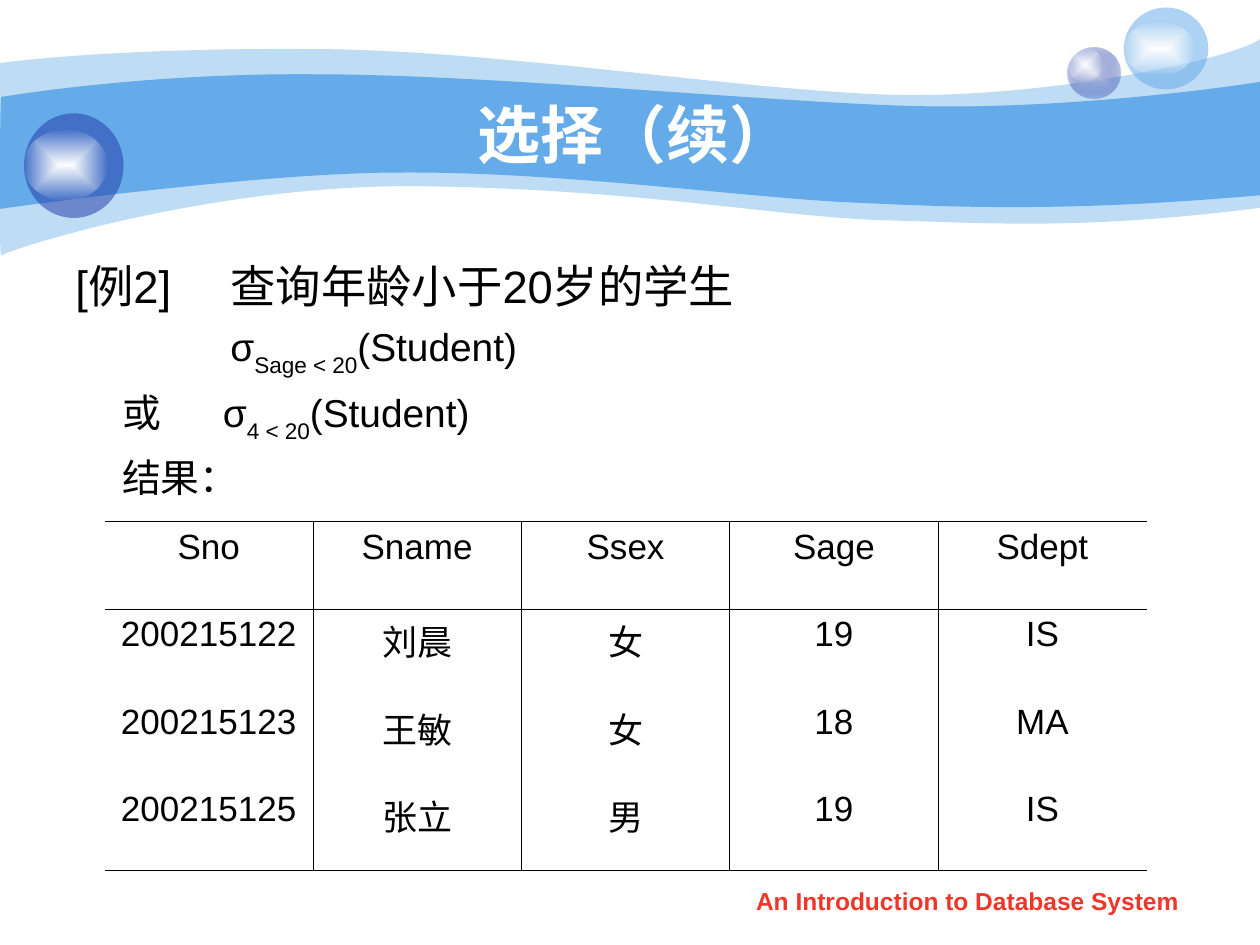
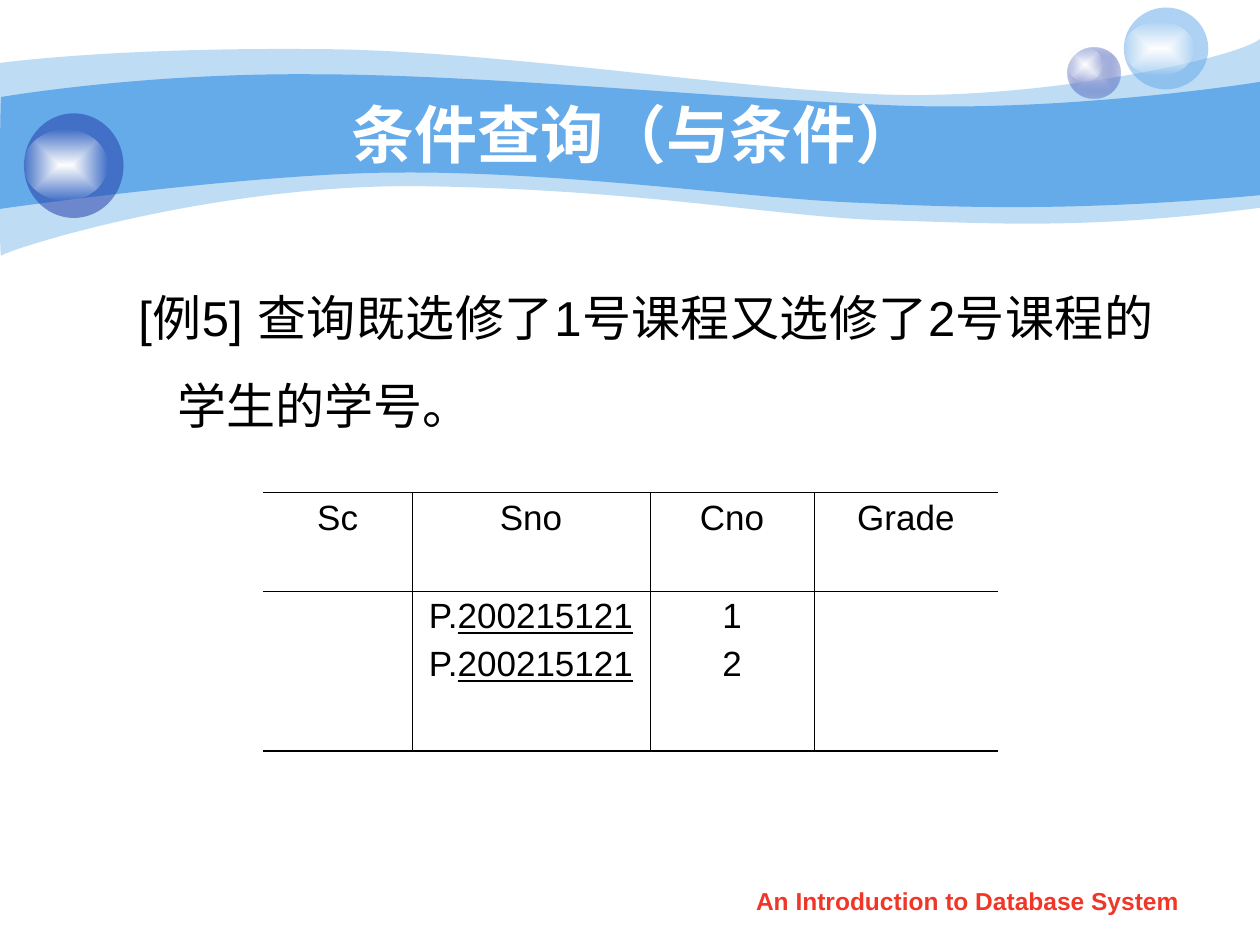
"""Build two database slides: a selection example and a query by example."""
from dataclasses import dataclass, field
from typing import Any

from lxml.etree import SubElement
from pptx import Presentation
from pptx.dml.color import RGBColor
from pptx.enum.shapes import MSO_SHAPE
from pptx.enum.text import MSO_ANCHOR, PP_ALIGN
from pptx.oxml.ns import qn
from pptx.util import Inches, Pt

SKY = RGBColor(0x65, 0xAA, 0xE9)
NAVY = RGBColor(0x23, 0x3D, 0xA9)
LILAC = RGBColor(0xC7, 0xCE, 0xE9)
WHITE = RGBColor(0xFF, 0xFF, 0xFF)
BLACK = RGBColor(0x00, 0x00, 0x00)
RED = RGBColor(0xF0, 0x36, 0x28)

FONT = "Arial"
TITLE_ONLY = 5
MASTER_ID_OFFSET = 100
THIN, THICK = 0.45, 1.08
TITLE_FORMAT = {"size": Pt(36), "bold": True}
FOOTER_FORMAT = {"size": Pt(14), "bold": True}
CELL_FORMAT = {"size": Pt(20)}

Point = tuple[float, float]
Box = tuple[float, float, float, float]


@dataclass(frozen=True)
class Tint:
    """A colour with its opacity in percent."""
    color: RGBColor
    opacity: int = 100


@dataclass(frozen=True)
class Wave:
    """A closed outline; a segment is one line end or three curve points."""
    start: Point
    segments: tuple[tuple[Point, ...], ...]
    tint: Tint


@dataclass(frozen=True)
class Disc:
    """An ellipse with one tint, or two tints from centre to edge."""
    box: Box
    tints: tuple[Tint, ...]


@dataclass(frozen=True)
class Run:
    """A piece of text with its own format."""
    text: str
    subscript: bool = False
    underline: bool = False


@dataclass(frozen=True)
class Line:
    """A paragraph with its margin and first-line indent in inches."""
    runs: tuple[Run, ...]
    formats: dict[str, Any]
    spacing: dict[str, Any] = field(default_factory=dict)
    margin: float = 0
    indent: float = 0


@dataclass(frozen=True)
class Grid:
    """A table with its place, sizes and cells; each cell holds lines of runs."""
    left: float
    top: float
    columns: tuple[float, ...]
    rows: tuple[float, ...]
    cells: tuple[tuple[tuple[tuple[Run, ...], ...], ...], ...]


@dataclass(frozen=True)
class Page:
    """The content of one slide."""
    title: str
    body_box: Box
    lines: tuple[Line, ...]
    grid: Grid


WAVES = (
    Wave((0, 0.5), (
        ((0.24, 0.47), (1.07, 0.38), (2.47, 0.39)),
        ((3.86, 0.39), (5.75, 0.7), (6.99, 0.75)),
        ((8.22, 0.8), (9.8, 0.47), (10, 0.31)),
        ((10, 1.65),),
        ((8.58, 1.83), (7.87, 1.77), (7.05, 1.75)),
        ((6.22, 1.73), (5.15, 1.51), (3.43, 1.48)),
        ((1.72, 1.44), (0.04, 1.99), (0.01, 2.03)),
        ((-0.01, 2.08), (0, 0.75), (0, 0.5)),
    ), Tint(SKY, 41)),
    Wave((0.01, 0.77), (
        ((0.02, 0.77), (1.1, 0.58), (2.48, 0.59)),
        ((3.86, 0.59), (5.95, 0.8), (7.18, 0.84)),
        ((8.41, 0.88), (9.76, 0.69), (10, 0.65)),
        ((10, 1.55),),
        ((8.53, 1.68), (7.65, 1.65), (6.82, 1.61)),
        ((5.99, 1.58), (4.47, 1.36), (3.17, 1.37)),
        ((2.03, 1.37), (-0.02, 1.66), (-0.01, 1.66)),
        ((0, 1.66), (0, 0.77), (0.01, 0.77)),
    ), Tint(SKY)),
)
GLOW = (Tint(WHITE), Tint(WHITE, 0))
BUBBLES = (
    (Disc((8.47, 0.38, 0.42, 0.4), (Tint(LILAC), Tint(NAVY, 31))),
     Disc((8.47, 0.38, 0.28, 0.27), GLOW)),
    (Disc((8.92, 0.06, 0.67, 0.65), (Tint(SKY, 53),)),
     Disc((8.92, 0.17, 0.56, 0.43), GLOW)),
    (Disc((0.19, 0.9, 0.79, 0.83), (Tint(NAVY, 53),)),
     Disc((0.19, 1.03, 0.66, 0.56), GLOW)),
)


def plain(*lines: str) -> tuple[tuple[Run, ...], ...]:
    """Return a cell of unformatted lines."""
    return tuple((Run(text),) for text in lines)


def plain_row(*texts: str) -> tuple:
    """Return a row of one-line cells."""
    return tuple(plain(text) for text in texts)


EXAMPLE = {"size": Pt(25.9)}
FORMULA = {"size": Pt(22.2)}
QUESTION = {"size": Pt(28)}
GAP = {"space_before": Pt(6)}
SAMPLE_LINE = (Run("P."), Run("200215121", underline=True))

PAGES = (
    Page("选择（续）", (0.5, 2, 8.99, 2.06), (
        Line((Run("[例2]\t查询年龄小于20岁的学生"),), EXAMPLE, {}, 1.23, -1.23),
        Line((Run("σ"), Run("Sage < 20", subscript=True), Run("(Student)")),
             FORMULA, GAP, 1.23),
        Line((Run("或\tσ"), Run("4 < 20", subscript=True), Run("(Student)")),
             FORMULA, GAP, 1.17, -0.8),
        Line((Run("结果："),), FORMULA, GAP, 0.37),
    ), Grid(0.83, 4.14, (8.27 / 5,) * 5, (2.77 / 4,) * 4, (
        plain_row("Sno", "Sname", "Ssex", "Sage", "Sdept"),
        plain_row("200215122", "刘晨", "女", "19", "IS"),
        plain_row("200215123", "王敏", "女", "18", "MA"),
        plain_row("200215125", "张立", "男", "19", "IS"),
    ))),
    Page("条件查询（与条件）", (0.5, 2, 8.75, 1.83), (
        Line((Run("[例5] 查询既选修了1号课程又选修了2号课程的学生的学号。"),),
             QUESTION, {"line_spacing": 1.5}, 0.81, -0.31),
    ), Grid(2.09, 3.91, (1.18, 1.89, 1.3, 1.46), (0.78, 1.27), (
        plain_row("Sc", "Sno", "Cno", "Grade"),
        ((), (SAMPLE_LINE,) * 2, plain("1", "2"), ()),
    ))),
)


def inches(box: Box) -> list[int]:
    """Convert a box to lengths."""
    return [Inches(length) for length in box]


def apply(target: Any, formats: dict[str, Any]) -> None:
    """Set each format value on the target."""
    for name, value in formats.items():
        setattr(target, name, value)


def add_color(parent: Any, tint: Tint) -> None:
    """Add a colour element with its opacity."""
    color = SubElement(parent, qn("a:srgbClr"), val=str(tint.color))
    if tint.opacity < 100:
        SubElement(color, qn("a:alpha"), val=str(tint.opacity * 1000))


def paint(shape: Any, tints: tuple[Tint, ...]) -> None:
    """Fill a shape with one tint or a gradient, without line or shadow."""
    properties = shape.element.spPr
    if len(tints) == 1:
        add_color(SubElement(properties, qn("a:solidFill")), tints[0])
    else:
        gradient = SubElement(properties, qn("a:gradFill"), rotWithShape="1")
        stops = SubElement(gradient, qn("a:gsLst"))
        for position, tint in zip((0, 100000), tints):
            add_color(SubElement(stops, qn("a:gs"), pos=str(position)), tint)
        center = SubElement(gradient, qn("a:path"), {"path": "rect"})
        SubElement(center, qn("a:fillToRect"), dict.fromkeys("ltrb", "50000"))
    shape.line.fill.background()
    shape.shadow.inherit = False


def draw_wave(slide: Any, wave: Wave) -> None:
    """Draw one wavy band, turning each three points into a curve."""
    builder = slide.shapes.build_freeform(*map(Inches, wave.start))
    builder.add_line_segments(
        [tuple(map(Inches, point)) for segment in wave.segments for point in segment])
    band = builder.convert_to_shape()
    steps = iter(list(band.element.iter(qn("a:lnTo"))))
    for segment in wave.segments:
        lines = [next(steps) for _ in segment]
        if len(lines) == 3:
            outline = lines[0].getparent()
            curve = SubElement(outline, qn("a:cubicBezTo"))
            outline.replace(lines[0], curve)
            for line in lines:
                curve.append(line[0])
            for line in lines[1:]:
                outline.remove(line)
    SubElement(outline, qn("a:close"))
    paint(band, (wave.tint,))


def draw_bubble(slide: Any, discs: tuple[Disc, ...]) -> None:
    """Draw a bubble as a group of discs."""
    bubble = slide.shapes.add_group_shape()
    for disc in discs:
        paint(bubble.shapes.add_shape(MSO_SHAPE.OVAL, *inches(disc.box)), disc.tints)


def draw_master(deck: Any) -> None:
    """Draw the waves and bubbles once and move them to the slide master."""
    slide = deck.slides[0]
    kept = len(slide.shapes)
    for wave in WAVES:
        draw_wave(slide, wave)
    for discs in BUBBLES:
        draw_bubble(slide, discs)
    tree = deck.slide_master.shapes[0].element.getparent()
    for position, shape in enumerate(list(slide.shapes)[kept:], start=2):
        for identity in shape.element.iter(qn("p:cNvPr")):
            identity.set("id", str(int(identity.get("id")) + MASTER_ID_OFFSET))
        tree.insert(position, shape.element)


def add_runs(paragraph: Any, runs: tuple[Run, ...], formats: dict[str, Any],
             color: RGBColor = BLACK) -> None:
    """Add formatted runs to a paragraph."""
    for part in runs:
        run = paragraph.add_run()
        run.text = part.text
        apply(run.font, {"name": FONT, **formats})
        run.font.color.rgb = color
        if part.underline:
            run.font.underline = True
        if part.subscript:
            run.font._element.set("baseline", "-30000")


def draw_lines(slide: Any, box: Box, lines: tuple[Line, ...],
               color: RGBColor = BLACK, align: PP_ALIGN = PP_ALIGN.JUSTIFY) -> None:
    """Draw a text box with indented paragraphs."""
    frame = slide.shapes.add_textbox(*inches(box)).text_frame
    frame.word_wrap = True
    for index, line in enumerate(lines):
        paragraph = frame.add_paragraph() if index else frame.paragraphs[0]
        apply(paragraph, {"alignment": align, **line.spacing})
        properties = paragraph._p.get_or_add_pPr()
        properties.set("marL", str(Inches(line.margin)))
        properties.set("indent", str(Inches(line.indent)))
        add_runs(paragraph, line.runs, line.formats, color)


def set_borders(cell: Any, widths: dict[str, float]) -> None:
    """Set the left, right, top and bottom borders; zero means none."""
    properties = cell._tc.get_or_add_tcPr()
    for side, width in widths.items():
        border = SubElement(properties, qn(f"a:ln{side}"), w=str(Pt(width)))
        if width:
            add_color(SubElement(border, qn("a:solidFill")), Tint(BLACK))
        else:
            SubElement(border, qn("a:noFill"))


def draw_grid(slide: Any, grid: Grid) -> None:
    """Draw a table ruled above, below, under its header and between columns."""
    box = (grid.left, grid.top, sum(grid.columns), sum(grid.rows))
    last_row, last_column = len(grid.rows) - 1, len(grid.columns) - 1
    table = slide.shapes.add_table(last_row + 1, last_column + 1, *inches(box)).table
    apply(table, {"first_row": False, "horz_banding": False})
    for column, width in zip(table.columns, grid.columns):
        column.width = Inches(width)
    for r, (height, row) in enumerate(zip(grid.rows, grid.cells)):
        table.rows[r].height = Inches(height)
        for c, lines in enumerate(row):
            cell = table.cell(r, c)
            set_borders(cell, {
                "L": THIN if c else 0,
                "R": THIN if c < last_column else 0,
                "T": THICK if r == 0 else THIN if r == 1 else 0,
                "B": THICK if r == last_row else THIN if r == 0 else 0,
            })
            cell.fill.background()
            frame = cell.text_frame
            for index, runs in enumerate(lines):
                paragraph = frame.add_paragraph() if index else frame.paragraphs[0]
                paragraph.alignment = PP_ALIGN.CENTER
                if index:
                    paragraph.space_before = Pt(5)
                add_runs(paragraph, runs, CELL_FORMAT)


def draw_title(slide: Any, text: str) -> None:
    """Place and format the title."""
    title = slide.shapes.title
    apply(title, dict(zip(("left", "top", "width", "height"), inches((1, 0.75, 8.08, 0.62)))))
    title.text_frame.vertical_anchor = MSO_ANCHOR.MIDDLE
    paragraph = title.text_frame.paragraphs[0]
    paragraph.alignment = PP_ALIGN.CENTER
    add_runs(paragraph, (Run(text),), TITLE_FORMAT, WHITE)


def draw_page(deck: Any, page: Page) -> None:
    """Draw one slide with its footer."""
    slide = deck.slides.add_slide(deck.slide_layouts[TITLE_ONLY])
    footer = Line((Run("An Introduction to Database System"),), FOOTER_FORMAT)
    draw_lines(slide, (5.71, 6.98, 3.94, 0.35), (footer,), RED, PP_ALIGN.CENTER)
    draw_title(slide, page.title)
    draw_lines(slide, page.body_box, page.lines)
    draw_grid(slide, page.grid)


def main() -> None:
    """Build and save the deck."""
    deck = Presentation()
    apply(deck, {"slide_width": Inches(10), "slide_height": Inches(7.5)})
    for page in PAGES:
        draw_page(deck, page)
    draw_master(deck)
    deck.save("out.pptx")


if __name__ == "__main__":
    main()
